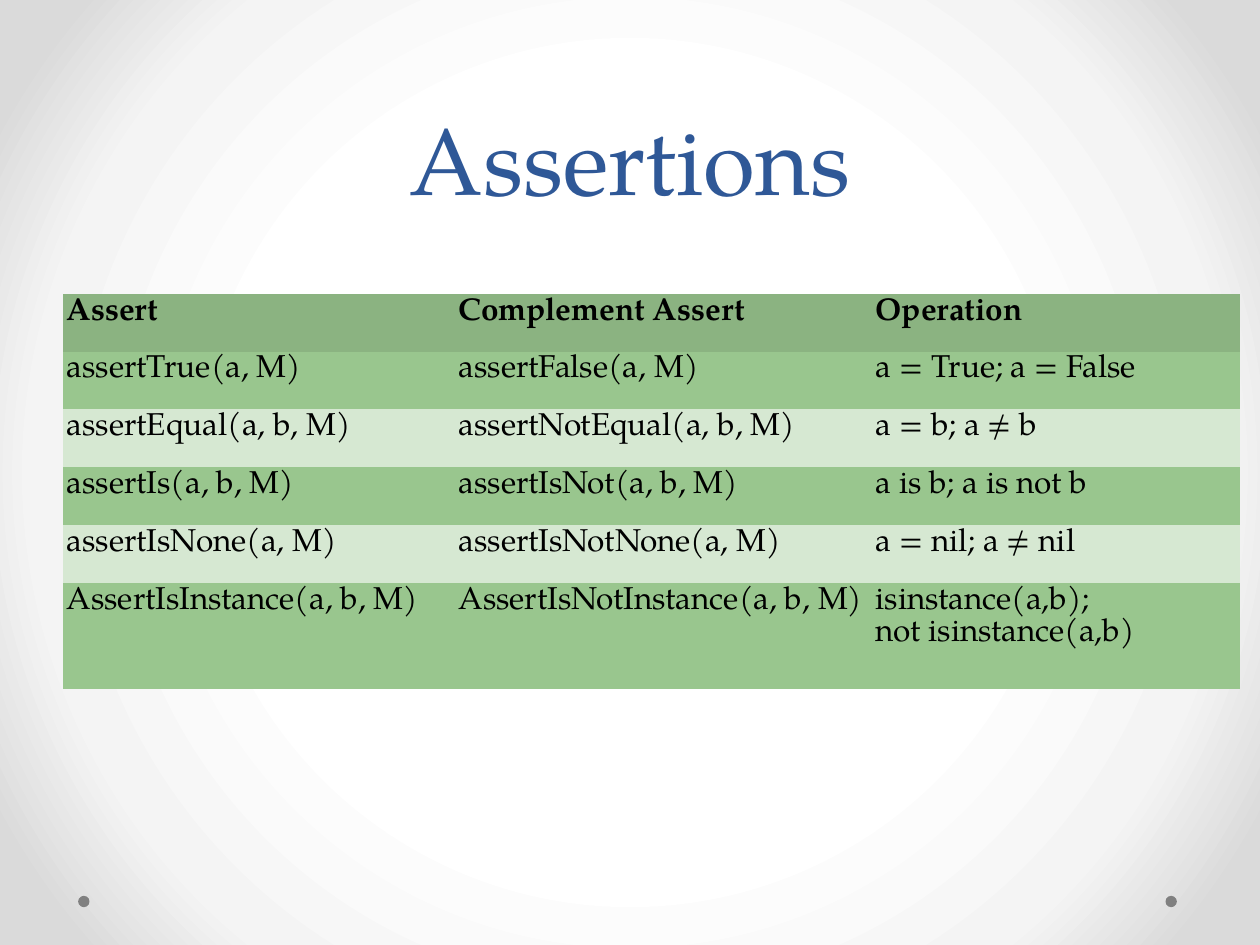
from dataclasses import dataclass

from lxml import etree
from pptx import Presentation
from pptx.dml.color import RGBColor
from pptx.enum.shapes import MSO_SHAPE
from pptx.enum.text import MSO_ANCHOR, PP_ALIGN
from pptx.oxml.ns import qn
from pptx.util import Inches, Pt

OVAL = MSO_SHAPE.OVAL
BOTTOM = MSO_ANCHOR.BOTTOM
CENTER = PP_ALIGN.CENTER
BLANK_LAYOUT = 6
NO_STYLE_NO_GRID = "{2D5ABB26-0587-4C30-8999-92F81FD0307C}"


@dataclass(frozen=True)
class Theme:
    """Colours, font and type sizes of the slide."""
    font: str = "TeX Gyre Pagella"
    title: str = "2F5897"
    text: str = "000000"
    dot: str = "808080"
    header: str = "8BB381"
    bands: tuple = ("99C68E", "D6E8D2")
    backdrop: tuple = ((50, "FFFFFF"), (76, "F4F4F4"), (92, "DADADA"))
    title_size: int = 54
    title_leading: int = 58
    table_size: int = 18
    table_leading: int = 18


THEME = Theme()
ASSERTIONS = (
    ("Assert", "Complement Assert", "Operation"),
    ("assertTrue(a, M)", "assertFalse(a, M)", "a = True; a = False"),
    ("assertEqual(a, b, M)", "assertNotEqual(a, b, M)", "a = b; a ≠ b"),
    ("assertIs(a, b, M)", "assertIsNot(a, b, M)", "a is b; a is not b"),
    ("assertIsNone(a, M)", "assertIsNotNone(a, M)", "a = nil; a ≠ nil"),
    ("AssertIsInstance(a, b, M)", "AssertIsNotInstance(a, b, M)",
     "isinstance(a,b);\vnot isinstance(a,b)"),
)
COLUMN_WIDTHS = (3.11, 3.31, 2.92)
ROW_HEIGHTS = (0.46,) * 5 + (0.84,)


def style_paragraph(paragraph, size, leading, color, bold=False):
    """Set the font and the exact line spacing of a paragraph."""
    paragraph.line_spacing = Pt(leading)
    font = paragraph.font
    font.name, font.size, font.bold = THEME.font, Pt(size), bold
    font.color.rgb = RGBColor.from_string(color)


def paint_background(slide):
    """Fill the background with a gradient that radiates from the centre."""
    fill = slide.background.fill
    fill.gradient()
    gradient = slide.background._cSld.find(".//" + qn("a:gradFill"))
    for child in list(gradient):
        gradient.remove(child)
    stops = etree.SubElement(gradient, qn("a:gsLst"))
    for position, color in THEME.backdrop:
        stop = etree.SubElement(stops, qn("a:gs"), pos=str(position * 1000))
        etree.SubElement(stop, qn("a:srgbClr"), val=color)
    shade = etree.SubElement(gradient, qn("a:path"), path="circle")
    etree.SubElement(shade, qn("a:fillToRect"),
                     {side: "50000" for side in "ltrb"})


def add_dots(slide, left, top, width, size):
    """Place a dot at each end of the footer strip."""
    for dot_left in (left, left + width - size):
        dot = slide.shapes.add_shape(OVAL, dot_left, top, size, size)
        dot.shadow.inherit = False
        dot.fill.solid()
        dot.fill.fore_color.rgb = RGBColor.from_string(THEME.dot)
        dot.line.fill.background()


def add_title(slide, text, left, top, width, height):
    """Place the centred title at the bottom of its box."""
    frame = slide.shapes.add_textbox(left, top, width, height).text_frame
    frame.word_wrap = True
    frame.vertical_anchor = BOTTOM
    paragraph = frame.paragraphs[0]
    paragraph.text = text
    paragraph.alignment = CENTER
    style_paragraph(paragraph, THEME.title_size, THEME.title_leading, THEME.title)


def fill_cell(cell, text, color, bold):
    """Write one table cell with its band colour."""
    cell.margin_left = cell.margin_right = Inches(0.03)
    cell.margin_top = cell.margin_bottom = Inches(0.03)
    cell.fill.solid()
    cell.fill.fore_color.rgb = RGBColor.from_string(color)
    paragraph = cell.text_frame.paragraphs[0]
    paragraph.text = text
    style_paragraph(paragraph, THEME.table_size, THEME.table_leading,
                    THEME.text, bold)


def add_assertion_table(slide, left, top, width, height):
    """Place the banded table of assertions."""
    table = slide.shapes.add_table(len(ASSERTIONS), len(COLUMN_WIDTHS),
                                   left, top, width, height).table
    table._tbl.tblPr.find(qn("a:tableStyleId")).text = NO_STYLE_NO_GRID
    for column, column_width in zip(table.columns, COLUMN_WIDTHS):
        column.width = Inches(column_width)
    for row_index, texts in enumerate(ASSERTIONS):
        table.rows[row_index].height = Inches(ROW_HEIGHTS[row_index])
        is_header = row_index == 0
        color = THEME.header if is_header else THEME.bands[(row_index - 1) % 2]
        for cell, text in zip(table.rows[row_index].cells, texts):
            fill_cell(cell, text, color, is_header)


def main():
    """Build the slide and save it."""
    presentation = Presentation()
    presentation.slide_width, presentation.slide_height = Inches(10), Inches(7.5)
    slide = presentation.slides.add_slide(presentation.slide_layouts[BLANK_LAYOUT])
    paint_background(slide)
    add_dots(slide, Inches(0.62), Inches(7.11), Inches(8.72), Inches(0.09))
    add_title(slide, "Assertions", Inches(0.5), Inches(0), Inches(9), Inches(1.75))
    add_assertion_table(slide, Inches(0.5), Inches(2.33), Inches(9.33), Inches(3.13))
    presentation.save("out.pptx")


if __name__ == "__main__":
    main()
